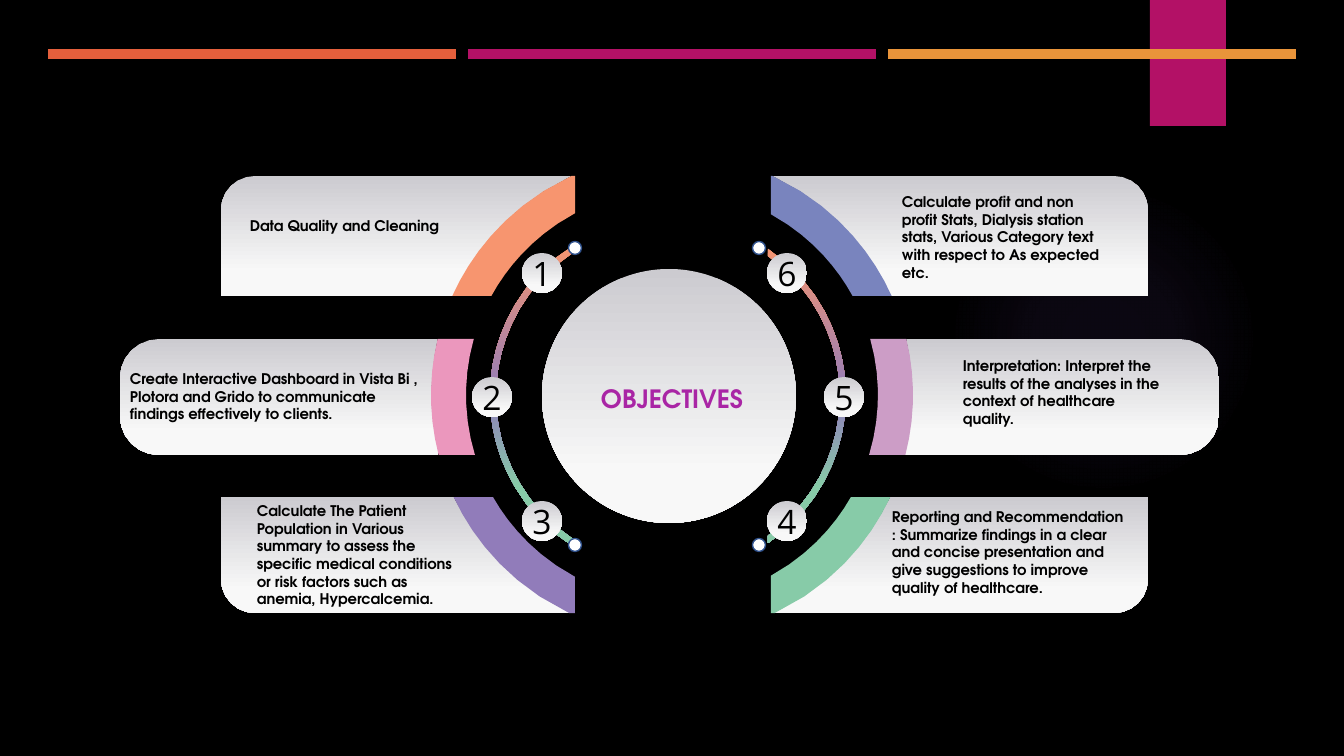
from math import cos, pi, sin, sqrt

from lxml import etree
from pptx import Presentation
from pptx.dml.color import RGBColor
from pptx.enum.shapes import MSO_CONNECTOR, MSO_SHAPE
from pptx.enum.text import MSO_ANCHOR, PP_ALIGN
from pptx.oxml.ns import qn
from pptx.util import Pt

STRAIGHT = MSO_CONNECTOR.STRAIGHT
RECTANGLE, OVAL = MSO_SHAPE.RECTANGLE, MSO_SHAPE.OVAL
MIDDLE, TOP = MSO_ANCHOR.MIDDLE, MSO_ANCHOR.TOP
LEFT, CENTER = PP_ALIGN.LEFT, PP_ALIGN.CENTER

# Content and style
COLORS = {
    "black": "000000", "white": "FFFFFF", "magenta": "B31166", "amber": "E9943A",
    "red": "E45F3C", "orange": "F7956F", "pink": "EB97BD", "purple": "917CBA",
    "blue": "7984BE", "lilac": "CC9DC6", "green": "87CBA8", "outline": "31538F",
    "title": "A925A5", "silver": "CCCBD0", "pale": "F8F8F8", "glow": "9B6BF2",
}
SILVER = [(0, "silver", 100), (80, "pale", 100), (100, "pale", 100)]
RAINBOW = [(0, "orange", 100), (50, "purple", 100), (80, "green", 100), (100, "green", 100)]
GLOW = [(0, "glow", 7), (36, "glow", 6), (69, "glow", 0)]
BODY = {"size": Pt(10.5), "name": "TeX Gyre Adventor", "bold": True}
TITLE = {"size": Pt(18), "name": "TeX Gyre Adventor", "bold": True}
NUMBER = {"size": Pt(24), "name": "Open Sans", "bold": False}

HEADER_COLORS = ["red", "magenta", "amber"]
# side (-1 left, 1 right), row, band colour, text left/top/width, text
OBJECTIVES = [
    (-1, 0, "orange", (240, 212, 227), "Data Quality and Cleaning"),
    (-1, 1, "pink", (120, 365, 318),
     "Create Interactive Dashboard in Vista Bi , Plotora and Grido to communicate "
     "findings effectively to clients."),
    (-1, 2, "purple", (247, 497, 227),
     "Calculate The Patient Population in Various summary to assess the specific "
     "medical conditions or risk factors such as anemia, Hypercalcemia."),
    (1, 2, "green", (882, 503, 255),
     "Reporting and Recommendation : Summarize findings in a clear and concise "
     "presentation and give suggestions to improve quality of healthcare."),
    (1, 1, "lilac", (953, 352, 227),
     "Interpretation: Interpret the results of the analyses in the context of "
     "healthcare quality."),
    (1, 0, "blue", (892, 188, 227),
     "Calculate profit and non profit Stats, Dialysis station stats, Various "
     "Category text with respect to As expected etc."),
]

# Layout in px
SLIDE_WIDTH, SLIDE_HEIGHT = 1344, 756
SCALE = 12192000 / SLIDE_WIDTH
ROWS = [(176, 296), (339, 455), (497, 613)]
BAND_CENTER, BAND_OUTER, BAND_INNER = (672, 395), 241, 206
BAND_CLIP = {-1: 97, 1: 99}
PANEL_EDGES = {-1: (221, 120, 221), 1: (1148, 1219, 1148)}
CORNER_RADII = [(34, 0), (39, 39), (0, 34)]  # top, bottom
ARC_STEP, CORNER_STEPS = 15, 6
TRACK_CENTER, TRACK_OUTER, TRACK_INNER = (668, 396), 178, 172
TRACKS = {-1: (244, 548, 92), 1: (249, 543, 100)}  # top, bottom, clip
DOT_XS, DOT_YS, DOT_SIZE = (575, 759), (248, 545), 13
BADGE_XS = {-1: (542, 492, 542), 1: (787, 844, 787)}
BADGE_YS, BADGE_SIZE = (273, 397, 521), 40


def emu(px):
    return round(px * SCALE)


def rgb(name):
    return RGBColor.from_string(COLORS[name])


def paint(shape, fill, radial=False):
    """Fill with a colour name or a list of gradient stops; no line or shadow."""
    shape.shadow.inherit = False
    shape.line.fill.background()
    if isinstance(fill, str):
        shape.fill.solid()
        shape.fill.fore_color.rgb = rgb(fill)
        return
    shape.fill.gradient()
    gradient = shape._element.spPr.find(qn("a:gradFill"))
    for child in list(gradient):
        gradient.remove(child)
    stops = etree.SubElement(gradient, qn("a:gsLst"))
    for position, name, opacity in fill:
        stop = etree.SubElement(stops, qn("a:gs"), pos=str(position * 1000))
        color = etree.SubElement(stop, qn("a:srgbClr"), val=COLORS[name])
        if opacity < 100:
            etree.SubElement(color, qn("a:alpha"), val=str(opacity * 1000))
    if radial:
        route = etree.SubElement(gradient, qn("a:path"), path="circle")
        etree.SubElement(route, qn("a:fillToRect"), dict.fromkeys("ltrb", "50000"))
    else:
        etree.SubElement(gradient, qn("a:lin"), ang="5400000", scaled="0")


def add_shape(kind, left, top, width, height, fill, radial=False):
    shape = slide.shapes.add_shape(kind, *map(emu, (left, top, width, height)))
    paint(shape, fill, radial)
    return shape


def add_circle(x, y, size, fill, radial=False):
    return add_shape(OVAL, x - size / 2, y - size / 2, size, size, fill, radial)


def add_outline(contours, fill):
    builder = None
    for contour in contours:
        points = [(emu(x), emu(y)) for x, y in contour]
        if builder is None:
            builder = slide.shapes.build_freeform(*points[0])
        else:
            builder.move_to(*points[0])
        builder.add_line_segments(points[1:], close=True)
    paint(builder.convert_to_shape(), fill)


def write(shape, text, style, color="black", align=LEFT, anchor=TOP):
    frame = shape.text_frame
    frame.word_wrap = True
    frame.vertical_anchor = anchor
    paragraph = frame.paragraphs[0]
    paragraph.text = text
    paragraph.alignment = align
    for name, value in style.items():
        setattr(paragraph.font, name, value)
    paragraph.font.color.rgb = rgb(color)


def add_label(left, top, width, height, *content):
    write(slide.shapes.add_textbox(*map(emu, (left, top, width, height))), *content)


def arc(center, radius, side, top, bottom, clip):
    """Points down one side of a circle, cut by a vertical line at clip."""
    x, y = center
    reach = sqrt(radius ** 2 - clip ** 2)
    first, last = max(top, y - reach), min(bottom, y + reach)
    count = (bottom - top) // ARC_STEP
    levels = [first + (last - first) * step / count for step in range(count + 1)]
    levels = [top] * (first > top) + levels + [bottom] * (last < bottom)
    return [(x + side * max(clip, sqrt(max(0, radius ** 2 - (level - y) ** 2))), level)
            for level in levels]


def ring(center, outer, inner, *span):
    return arc(center, outer, *span) + arc(center, inner, *span)[::-1]


def corner(x, y, side, radius, direction):
    """Quarter circle at an outer corner, from the horizontal to the vertical edge."""
    if not radius:
        return [(x, y)]
    angles = [step * pi / 2 / CORNER_STEPS for step in range(CORNER_STEPS + 1)]
    return [(x - side * radius * (1 - sin(angle)),
             y + direction * radius * (1 - cos(angle))) for angle in angles]


def panel(side, row):
    top, bottom = ROWS[row]
    edge = PANEL_EDGES[side][row]
    top_radius, bottom_radius = CORNER_RADII[row]
    return (arc(BAND_CENTER, BAND_OUTER, side, top, bottom, 0)
            + corner(edge, bottom, side, bottom_radius, -1)
            + corner(edge, top, side, top_radius, 1)[::-1])


presentation = Presentation()
presentation.slide_width, presentation.slide_height = emu(SLIDE_WIDTH), emu(SLIDE_HEIGHT)
slide = presentation.slides.add_slide(presentation.slide_layouts[6])
slide.background.fill.solid()
slide.background.fill.fore_color.rgb = rgb("black")

# Backdrop and header
add_circle(1104, 339, 310, GLOW, radial=True)
add_shape(RECTANGLE, 1150, 0, 76, 126, "magenta")
for index, color in enumerate(HEADER_COLORS):
    left = 48 + 420 * index
    rule = slide.shapes.add_connector(STRAIGHT, *map(emu, (left, 54, left + 408, 54)))
    rule.line.width = Pt(6.5)
    rule.line.color.rgb = rgb(color)
    etree.SubElement(rule._element.spPr, qn("a:effectLst"))

# Thin track with end dots
add_outline([ring(TRACK_CENTER, TRACK_OUTER, TRACK_INNER, side, *span)
             for side, span in TRACKS.items()], RAINBOW)
for x in DOT_XS:
    for y in DOT_YS:
        dot = add_circle(x, y, DOT_SIZE, "white")
        dot.line.color.rgb = rgb("outline")
        dot.line.width = Pt(1)

# Numbered objectives
for number, (side, row, color, place, text) in enumerate(OBJECTIVES, 1):
    add_outline([panel(side, row)], SILVER)
    add_outline([ring(BAND_CENTER, BAND_OUTER, BAND_INNER, side, *ROWS[row],
                      BAND_CLIP[side])], color)
    badge = add_circle(BADGE_XS[side][row], BADGE_YS[row], BADGE_SIZE, SILVER)
    for margin in ("left", "top", "right", "bottom"):
        setattr(badge.text_frame, f"margin_{margin}", 0)
    write(badge, str(number), NUMBER, "black", CENTER, MIDDLE)
    add_label(*place, 40, text, BODY)

# Hub
add_circle(669, 396, 254, SILVER)
add_label(559, 378, 226, 40, "OBJECTIVES", TITLE, "title", CENTER)

presentation.save("out.pptx")
